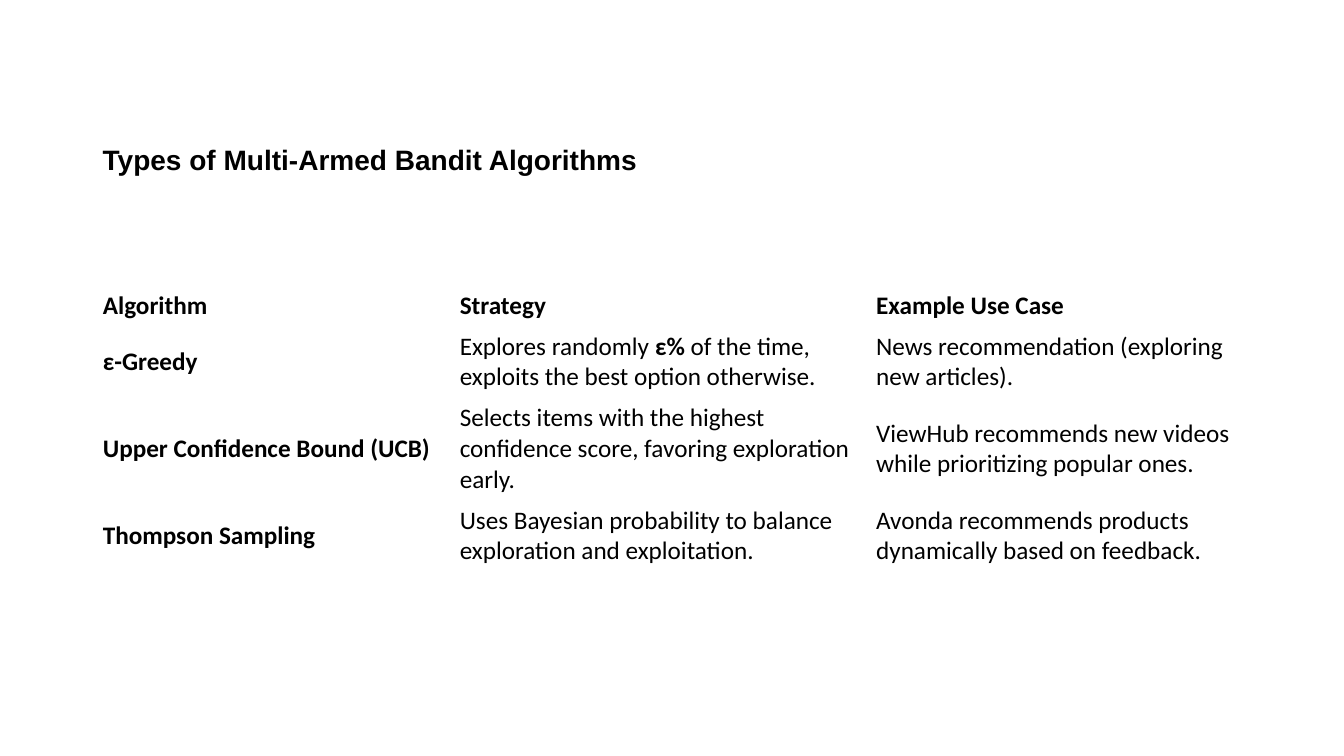
from dataclasses import dataclass

import pptx
import pptx.dml.color
import pptx.enum.text
import pptx.util

Inches = pptx.util.Inches


@dataclass(frozen=True)
class Theme:
    ink: pptx.dml.color.RGBColor
    title_font: str
    title_size: pptx.util.Pt
    table_font: str
    table_size: pptx.util.Pt


@dataclass(frozen=True)
class Phrase:
    text: str
    bold: bool = False


@dataclass(frozen=True)
class ComparisonRow:
    height: float
    entries: tuple[tuple[Phrase, ...], ...]


THEME = Theme(
    ink=pptx.dml.color.RGBColor(0, 0, 0),
    title_font="Arial",
    title_size=pptx.util.Pt(20),
    table_font="Calibri",
    table_size=pptx.util.Pt(18),
)

LEFT = 0.92
COLUMN_WIDTHS = (3.54, 4.13, 3.83)

COMPARISON = (
    ComparisonRow(0.4, (
        (Phrase("Algorithm", True),),
        (Phrase("Strategy", True),),
        (Phrase("Example Use Case", True),),
    )),
    ComparisonRow(0.7, (
        (Phrase("ε-Greedy", True),),
        (
            Phrase("Explores randomly "),
            Phrase("ε%", True),
            Phrase(" of the time, exploits the best option otherwise."),
        ),
        (Phrase("News recommendation (exploring new articles)."),),
    )),
    ComparisonRow(1.0, (
        (Phrase("Upper Confidence Bound (UCB)", True),),
        (Phrase("Selects items with the highest confidence score, favoring exploration early."),),
        (Phrase("ViewHub recommends new videos while prioritizing popular ones."),),
    )),
    ComparisonRow(0.7, (
        (Phrase("Thompson Sampling", True),),
        (Phrase("Uses Bayesian probability to balance exploration and exploitation."),),
        (Phrase("Avonda recommends products dynamically based on feedback."),),
    )),
)


def write_phrases(frame, phrases: tuple[Phrase, ...], font: str, size: pptx.util.Pt) -> None:
    frame.word_wrap = True
    frame.vertical_anchor = pptx.enum.text.MSO_ANCHOR.MIDDLE
    paragraph = frame.paragraphs[0]
    for phrase in phrases:
        run = paragraph.add_run()
        run.text = phrase.text
        run.font.name = font
        run.font.size = size
        run.font.bold = phrase.bold
        run.font.color.rgb = THEME.ink


def draw_title(slide) -> None:
    title = slide.shapes.add_textbox(Inches(LEFT), Inches(1.36), Inches(7.83), Inches(0.44))
    title.text_frame.auto_size = pptx.enum.text.MSO_AUTO_SIZE.SHAPE_TO_FIT_TEXT
    write_phrases(
        title.text_frame,
        (Phrase("Types of Multi-Armed Bandit Algorithms", True),),
        THEME.title_font,
        THEME.title_size,
    )


def draw_comparison(slide) -> None:
    comparison = slide.shapes.add_table(
        len(COMPARISON),
        len(COLUMN_WIDTHS),
        Inches(LEFT),
        Inches(2.83),
        Inches(sum(COLUMN_WIDTHS)),
        Inches(sum(row.height for row in COMPARISON)),
    ).table
    comparison.first_row = False
    comparison.horz_banding = False
    for column, width in zip(comparison.columns, COLUMN_WIDTHS):
        column.width = Inches(width)
    for table_row, row in zip(comparison.rows, COMPARISON):
        table_row.height = Inches(row.height)
        for cell, phrases in zip(table_row.cells, row.entries):
            cell.fill.background()
            cell.vertical_anchor = pptx.enum.text.MSO_ANCHOR.MIDDLE
            write_phrases(cell.text_frame, phrases, THEME.table_font, THEME.table_size)


def main() -> None:
    deck = pptx.Presentation()
    deck.slide_width = Inches(13.33)
    deck.slide_height = Inches(7.5)
    slide = deck.slides.add_slide(deck.slide_layouts[6])
    draw_comparison(slide)
    draw_title(slide)
    deck.save("out.pptx")


if __name__ == "__main__":
    main()
